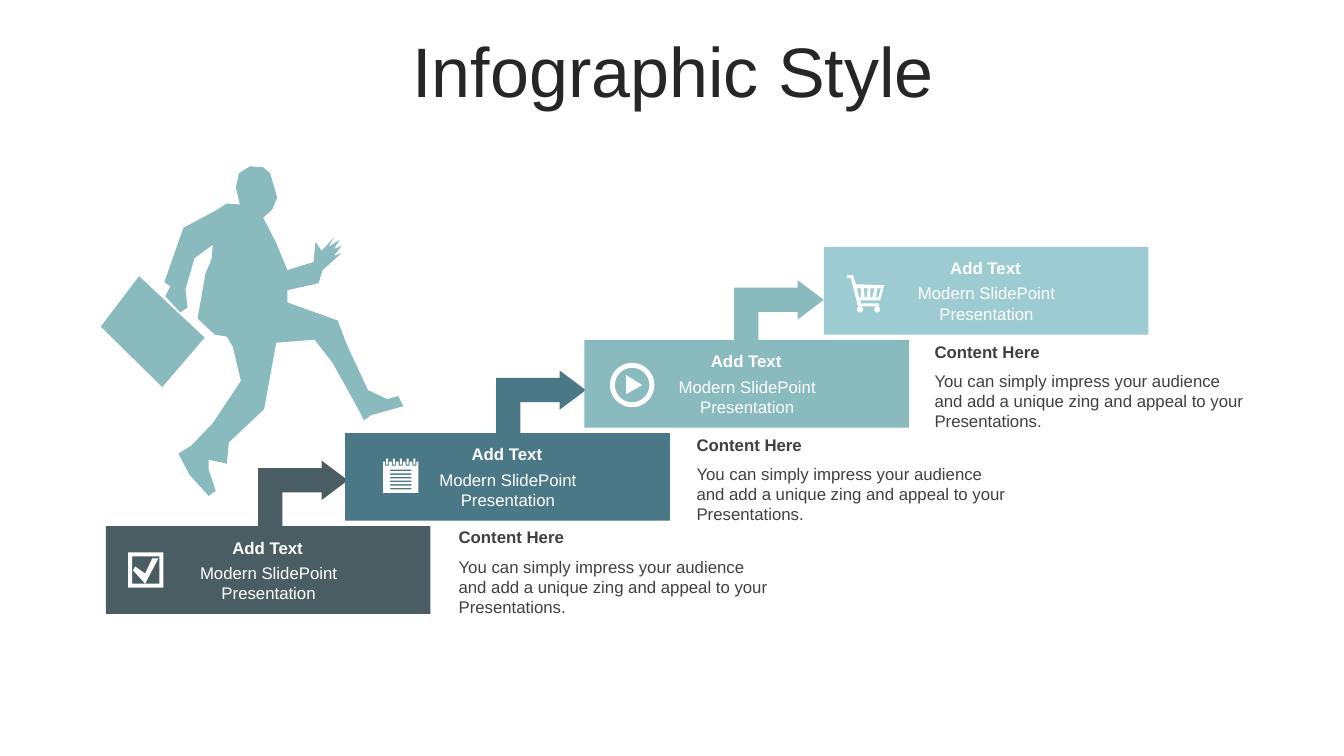
from dataclasses import dataclass

from pptx import Presentation
from pptx.dml.color import RGBColor
from pptx.enum.shapes import MSO_SHAPE
from pptx.enum.text import MSO_ANCHOR, MSO_AUTO_SIZE, PP_ALIGN
from pptx.util import Inches, Pt

RECTANGLE, BENT_ARROW = MSO_SHAPE.RECTANGLE, MSO_SHAPE.BENT_UP_ARROW
DONUT, OVAL = MSO_SHAPE.DONUT, MSO_SHAPE.OVAL
LEFT, CENTER = PP_ALIGN.LEFT, PP_ALIGN.CENTER
TOP, MIDDLE = MSO_ANCHOR.TOP, MSO_ANCHOR.MIDDLE
FIT_TEXT = MSO_AUTO_SIZE.SHAPE_TO_FIT_TEXT


@dataclass(frozen=True)
class Theme:
    font: str = "Arial"
    title_size: int = 50
    text_size: int = 12
    title: str = "262626"
    body: str = "404040"
    white: str = "FFFFFF"
    runner: str = "88BABE"
    steps: tuple = ("4A5D62", "4A7886", "88BABE", "9CCCD2")


THEME = Theme()
STEP_TITLE = "Add Text"
STEP_TEXT = "Modern SlidePoint Presentation"
CONTENT_TITLE = "Content Here"
CONTENT_TEXT = ("You can simply impress your audience and add a unique zing "
                "and appeal to your Presentations.")

BRIEFCASE = [(1, 3.24), (1.38, 2.74), (2.03, 3.35), (1.61, 3.84)]
RUNNER = [
    # back arm
    (2.14, 2.09), (1.82, 2.26), (1.63, 2.8), (1.69, 2.84), (1.64, 2.94), (1.79, 3.1),
    (1.86, 3.05), (1.84, 2.87), (1.93, 2.56), (2.11, 2.43), (2.1, 2.57),
    # back leg
    (2.04, 2.71), (1.96, 3.16), (2.13, 3.32), (2.25, 3.34), (2.31, 3.44), (2.39, 3.78),
    (2.11, 4.2), (1.9, 4.42), (1.77, 4.5), (1.88, 4.71), (2.07, 4.92), (2.14, 4.87),
    (2.07, 4.66), (2.07, 4.56), (2.25, 4.6), (2.27, 4.39), (2.62, 4.06), (2.74, 3.4),
    # front leg
    (3.12, 3.37), (3.3, 3.6), (3.56, 4.07), (3.61, 4.17), (3.68, 4.12), (4, 4.03),
    (3.95, 3.93), (3.84, 3.96), (3.65, 3.87), (3.44, 3.42), (3.35, 3.18), (2.85, 3),
    # front arm and hand
    (2.85, 2.88), (3.16, 2.81), (3.2, 2.68), (3.39, 2.51), (3.31, 2.54), (3.39, 2.44),
    (3.31, 2.47), (3.37, 2.38), (3.26, 2.45), (3.31, 2.36), (3.19, 2.49), (3.13, 2.4),
    (3.11, 2.6), (2.85, 2.68), (2.74, 2.41), (2.61, 2.16),
    # head
    (2.7, 2.08), (2.75, 1.96), (2.68, 1.72), (2.61, 1.66), (2.48, 1.65), (2.37, 1.72),
    (2.34, 1.86), (2.38, 2.03), (2.25, 2.02)]

CHECK_MARK = [(1.32, 5.66), (1.34, 5.62), (1.44, 5.69), (1.51, 5.54), (1.57, 5.54),
              (1.44, 5.79)]
CART_BODY = [(8.4, 2.73), (8.46, 2.73), (8.49, 2.82), (8.77, 2.83), (8.73, 2.98),
             (8.53, 2.98), (8.54, 3.01), (8.72, 3.01), (8.72, 3.04), (8.51, 3.04),
             (8.44, 2.76), (8.4, 2.76)]


def paint(shape, color):
    shape.shadow.inherit = False
    shape.fill.solid()
    shape.fill.fore_color.rgb = RGBColor.from_string(color)
    shape.line.fill.background()


def add_preset(slide, preset, left, top, width, height, color):
    shape = slide.shapes.add_shape(preset, Inches(left), Inches(top),
                                   Inches(width), Inches(height))
    paint(shape, color)
    return shape


def add_outline(slide, contours, color):
    """Fill closed contours given in inches; inner contours become holes."""
    outline = None
    for contour in contours:
        start, *rest = [(Inches(x), Inches(y)) for x, y in contour]
        if outline is None:
            outline = slide.shapes.build_freeform(*start)
        else:
            outline.move_to(*start)
        outline.add_line_segments(rest, close=True)
    paint(outline.convert_to_shape(), color)


def box(left, top, width, height):
    right, bottom = left + width, top + height
    return [(left, top), (right, top), (right, bottom), (left, bottom)]


def write(paragraph, text, size, color, align, bold=False):
    paragraph.alignment = align
    run = paragraph.add_run()
    run.text = text
    run.font.name = THEME.font
    run.font.size = Pt(size)
    run.font.bold = bold
    run.font.color.rgb = RGBColor.from_string(color)


def add_label(slide, text, left, top, width, height, color, align, anchor, bold=False):
    frame = slide.shapes.add_textbox(Inches(left), Inches(top),
                                     Inches(width), Inches(height)).text_frame
    frame.word_wrap = True
    frame.auto_size = FIT_TEXT
    frame.vertical_anchor = anchor
    write(frame.paragraphs[0], text, THEME.text_size, color, align, bold)


def add_title(slide, text):
    title = slide.shapes.title
    title.left, title.top = Inches(0.35), Inches(0.37)
    title.width, title.height = Inches(12.66), Inches(0.79)
    title.text_frame.vertical_anchor = MIDDLE
    paragraph = title.text_frame.paragraphs[0]
    paragraph.line_spacing = 0.8
    write(paragraph, text, THEME.title_size, THEME.title, CENTER)


def add_step(slide, index, color):
    across, up = 7.12 * index / 3, 2.77 * index / 3
    add_preset(slide, RECTANGLE, 1.05 + across, 5.22 - up, 3.22, 0.87, color)
    add_label(slide, STEP_TITLE, 1.79 + across, 5.28 - up, 1.73, 0.3,
              THEME.white, CENTER, MIDDLE, bold=True)
    add_label(slide, STEP_TEXT, 1.8 + across, 5.53 - up, 1.73, 0.5,
              THEME.white, CENTER, MIDDLE)


def add_rise(slide, index, color):
    """Add the arrow up to the next step and the content beside this one."""
    across = 2.36 * index
    arrow = add_preset(slide, BENT_ARROW, 2.68 + across, 4.45 - 1.79 * index / 2,
                       0.65, 0.89, color)
    arrow.rotation = 270
    arrow.element.spPr.xfrm.set("flipV", "1")
    for position, ratio in enumerate((0.37, 0.3, 0.4)):
        arrow.adjustments[position] = ratio
    left, up = 4.45 + across, 0.92 * index
    add_label(slide, CONTENT_TITLE, left, 5.18 - up, 3.35, 0.3, THEME.body, LEFT, TOP, bold=True)
    add_label(slide, CONTENT_TEXT, left, 5.47 - up, 3.35, 0.71, THEME.body, LEFT, TOP)


def add_checkbox(slide):
    frame, opening = box(1.27, 5.48, 0.35, 0.35), box(1.31, 5.52, 0.27, 0.27)
    add_outline(slide, [frame, opening, CHECK_MARK], THEME.white)


def add_notepad(slide):
    pitch = 0.18 / 5
    rules = [box(3.87, 4.66 + pitch * row, 0.21, pitch * 0.4) for row in range(6)]
    page, rings = [(3.8, 4.58)], []
    for index in range(5):
        center = 3.84 + 0.27 * index / 4
        notch = box(center - 0.02, 4.58, 0.04, 0.04)
        page += [notch[0], notch[3], notch[2], notch[1]]
        rings.append(box(center - 0.01, 4.55, 0.02, 0.06))
    page += [(4.15, 4.58), (4.15, 4.89), (3.8, 4.89)]
    add_outline(slide, [page, *rules, *rings], THEME.white)


def add_play_button(slide):
    ring = add_preset(slide, DONUT, 6.05, 3.6, 0.44, 0.44, THEME.white)
    ring.adjustments[0] = 0.11
    add_outline(slide, [[(6.21, 3.72), (6.37, 3.82), (6.21, 3.91)]], THEME.white)


def add_cart(slide):
    slots = []
    for index in range(4):
        upper, lower = 8.5 + 0.2 * index / 3, 8.52 + 0.17 * index / 3
        slots.append([(upper, 2.86), (upper + 0.04, 2.86),
                      (lower + 0.02, 2.95), (lower, 2.95)])
    add_outline(slide, [CART_BODY, *slots], THEME.white)
    for wheel_left in (8.5, 8.67):
        add_preset(slide, OVAL, wheel_left, 3.04, 0.06, 0.06, THEME.white)


def main():
    deck = Presentation()
    deck.slide_width, deck.slide_height = Inches(13.33), Inches(7.5)
    slide = deck.slides.add_slide(deck.slide_layouts[5])
    add_title(slide, "Infographic Style")
    for index, color in enumerate(THEME.steps):
        add_step(slide, index, color)
        if index < len(THEME.steps) - 1:
            add_rise(slide, index, color)
    for add_icon in (add_checkbox, add_notepad, add_play_button, add_cart):
        add_icon(slide)
    for contour in (BRIEFCASE, RUNNER):
        add_outline(slide, [contour], THEME.runner)
    deck.save("out.pptx")


if __name__ == "__main__":
    main()
